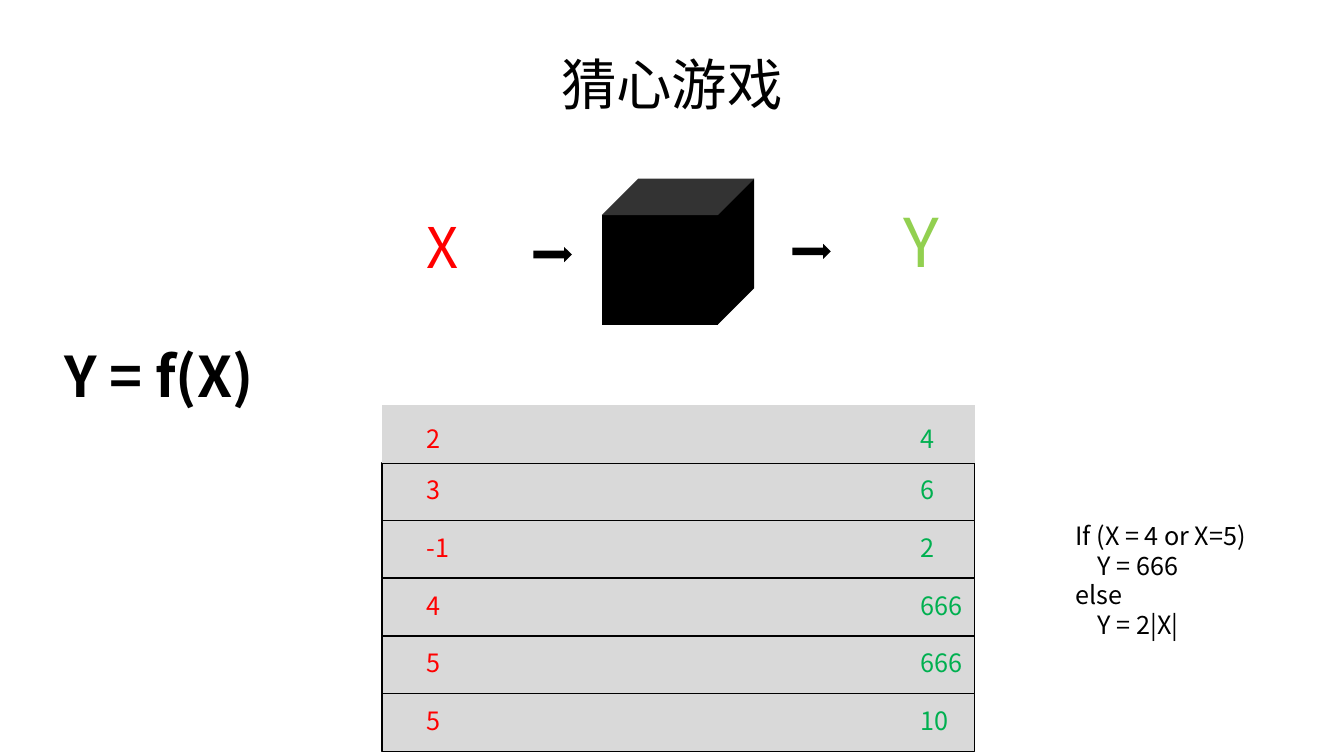
"""Build the guessing game slide: X enters a black box and Y comes out."""
import pptx
import pptx.util
import pptx.dml.color
import pptx.enum.shapes
import pptx.enum.text
import pptx.oxml.ns
import lxml.etree

Pt = pptx.util.Pt
Kind = pptx.enum.shapes.MSO_SHAPE
Align = pptx.enum.text.PP_ALIGN
Anchor = pptx.enum.text.MSO_ANCHOR
FONT = "Noto Sans CJK SC"
COLORS = {"black": "000000", "red": "FF0000", "lime": "92D050",
          "green": "00B050", "gray": "D9D9D9"}

deck = pptx.Presentation()
deck.slide_width, deck.slide_height = Pt(960), Pt(540)
slide = deck.slides.add_slide(deck.slide_layouts[6])


def rgb(name):
    return pptx.dml.color.RGBColor.from_string(COLORS[name])


def write(lines, left, top, width, height, size, color="black",
          bold=False, align=Align.LEFT, anchor=Anchor.TOP):
    frame = slide.shapes.add_textbox(Pt(left), Pt(top), Pt(width), Pt(height)).text_frame
    frame.word_wrap = True
    frame.vertical_anchor = anchor
    for index, line in enumerate(lines):
        para = frame.paragraphs[0] if index == 0 else frame.add_paragraph()
        para.alignment = align
        para.line_spacing = Pt(round(size * 1.19, 1))
        run = para.add_run()
        run.text = line
        run.font.name = FONT
        run.font.size = Pt(size)
        run.font.bold = bold
        run.font.color.rgb = rgb(color)
        east = lxml.etree.SubElement(run.font._element, pptx.oxml.ns.qn("a:ea"))
        east.set("typeface", FONT)


write(["猜心游戏"], 66, 27, 828, 65.5, 39.6, align=Align.CENTER, anchor=Anchor.MIDDLE)

for kind, left, top, width, height in [
        (Kind.CUBE, 430, 127.5, 108.7, 104.4),
        (Kind.RIGHT_ARROW, 381, 176.4, 27.4, 10.8),
        (Kind.RIGHT_ARROW, 566, 174.2, 27.4, 10.8)]:
    part = slide.shapes.add_shape(kind, Pt(left), Pt(top), Pt(width), Pt(height))
    part.shadow.inherit = False
    part.fill.solid()
    part.fill.fore_color.rgb = rgb("black")
    part.line.fill.background()

write(["X"], 297.4, 149, 58.3, 55.4, 40, "red")
write(["Y"], 638, 139.7, 58.3, 65.5, 48, "lime")
write(["Y = f(X)"], 38.9, 240.5, 198.7, 77.8, 40, bold=True)

pairs = [("2", "4"), ("3", "6"), ("-1", "2"), ("4", "666"), ("5", "666"), ("5", "10")]
pitch = 41.2
for index, (enter, leave) in reversed(list(enumerate(pairs))):
    top = 289.4 + index * pitch
    row = slide.shapes.add_shape(Kind.RECTANGLE, Pt(272.9), Pt(top), Pt(423.4), Pt(pitch))
    row.shadow.inherit = False
    row.fill.solid()
    row.fill.fore_color.rgb = rgb("gray")
    if index:
        row.line.color.rgb = rgb("black")
        row.line.width = Pt(1)
    else:
        row.line.fill.background()
    inset = 5 if index else 10
    write([enter], 297.4, top + inset, 51, 28.8, 18, "red")
    write([leave], 650.2, top + inset, 51, 28.8, 18, "green")

write(["If (X = 4 or X=5)", "    Y = 666", "else", "    Y = 2|X|"],
      761, 368, 159, 116.6, 18)

deck.save("out.pptx")
